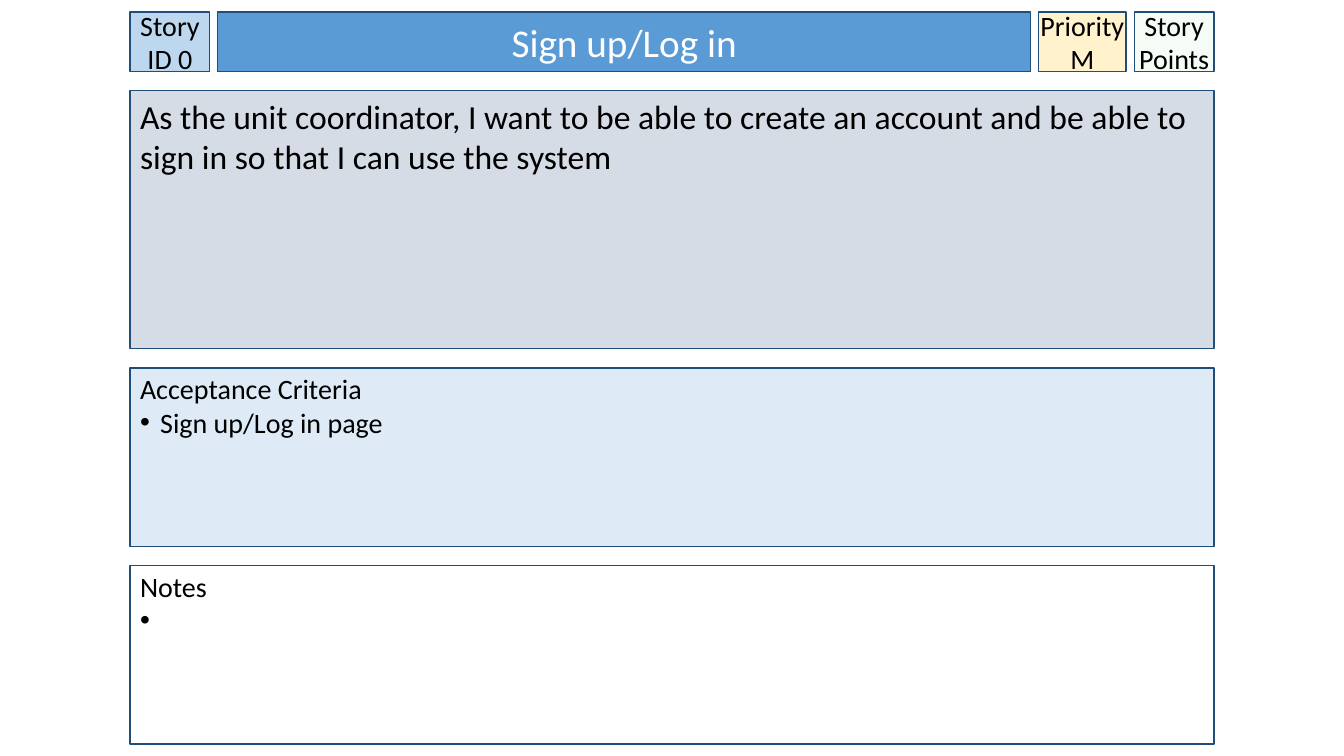
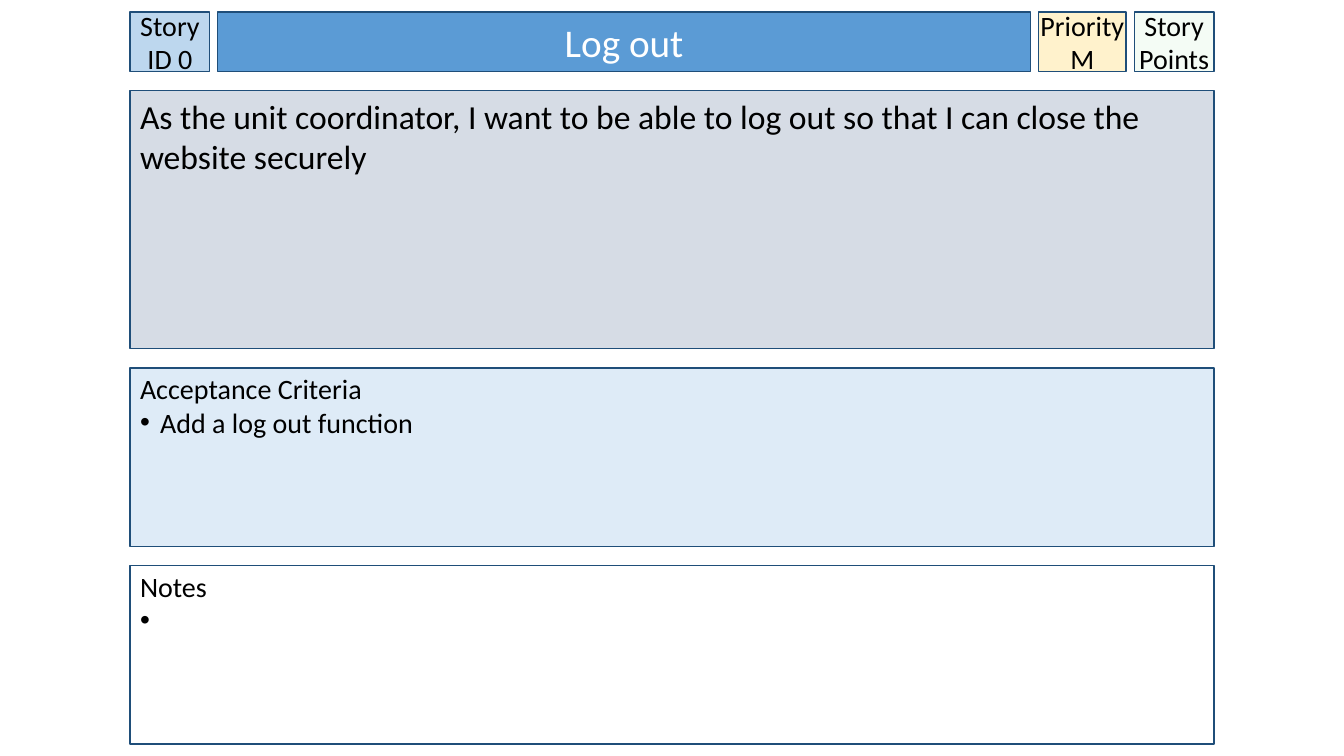
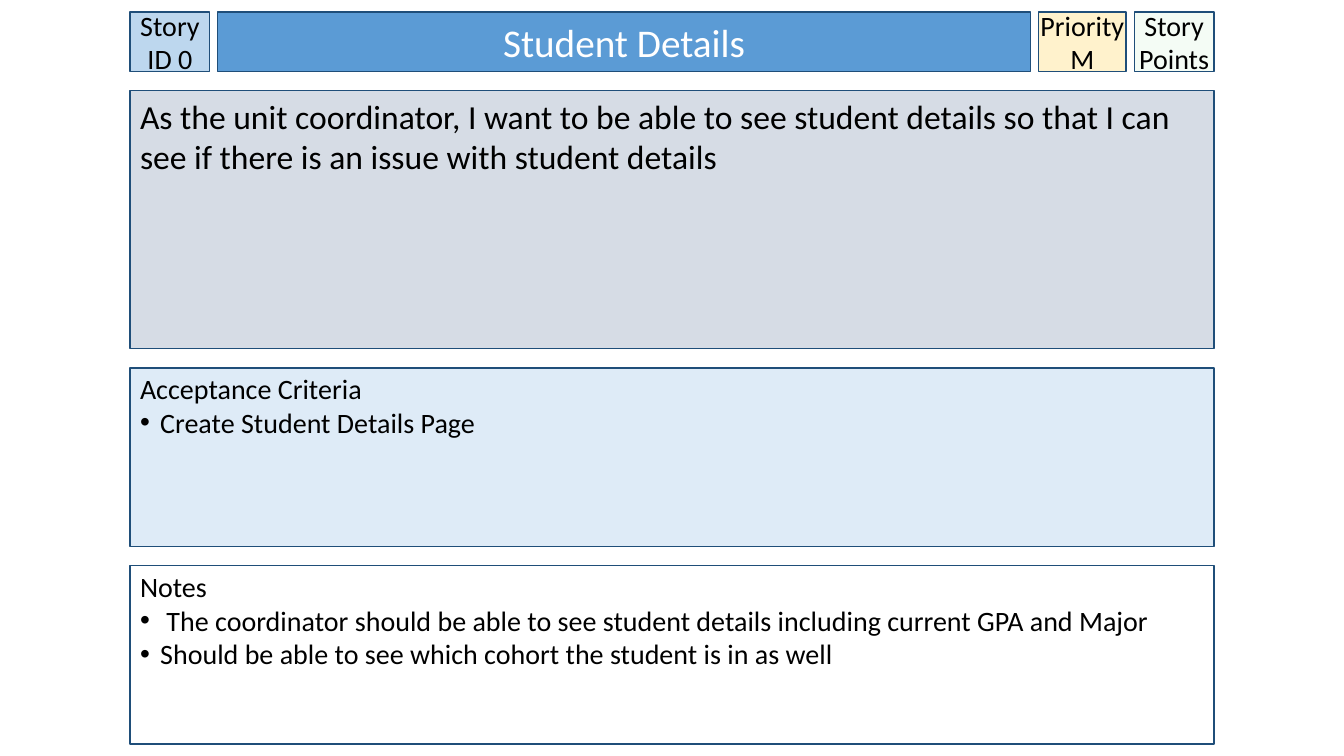
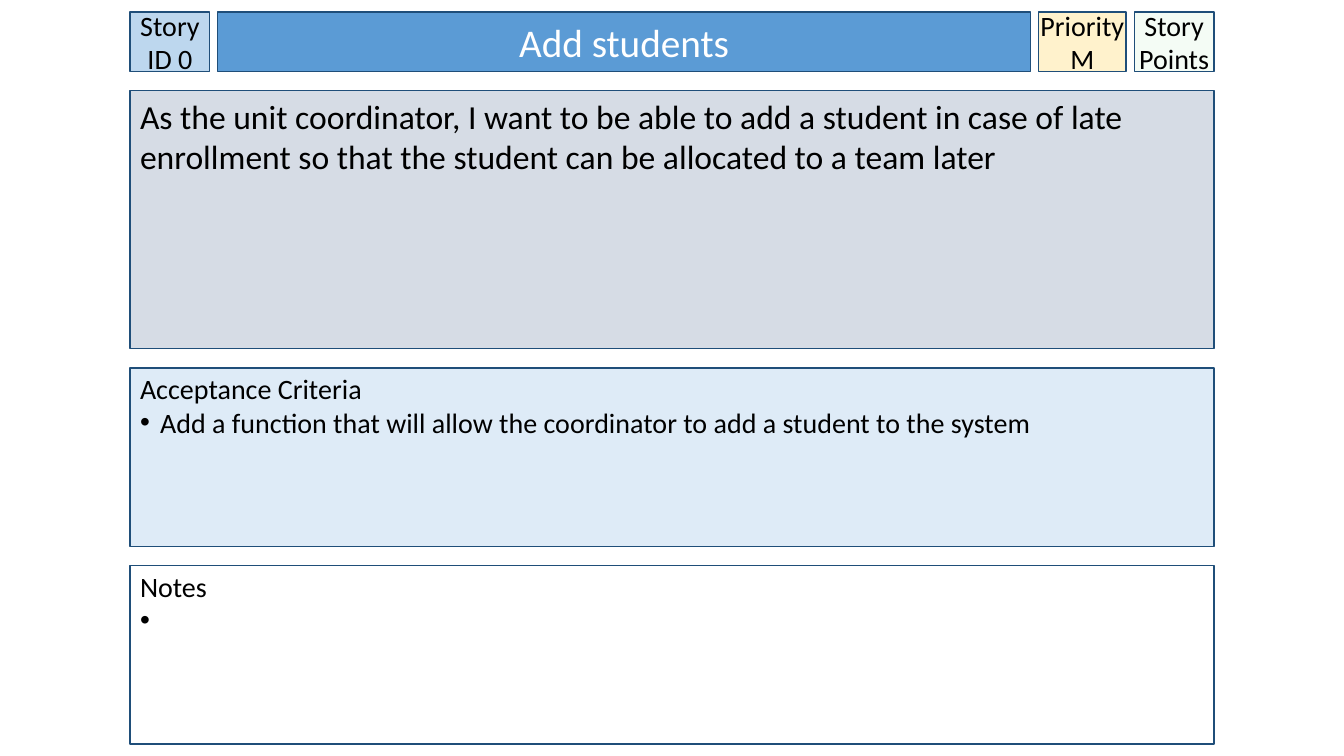
from lxml.etree import SubElement
from pptx import Presentation
from pptx.dml.color import RGBColor
from pptx.enum.shapes import MSO_SHAPE
from pptx.enum.text import MSO_ANCHOR, MSO_AUTO_SIZE, PP_ALIGN
from pptx.oxml.ns import qn
from pptx.util import Inches, Pt

# Shared look
FONT = "Calibri"
BLACK, WHITE, BORDER = "000000", "FFFFFF", "1F4E79"
ID_FILL, TITLE_FILL, PRIORITY_FILL, POINTS_FILL = "BDD7EE", "5B9BD5", "FFF2CC", "CCF0CD"
STORY_FILL, CRITERIA_FILL = "D6DCE5", "DEEBF7"

# Card geometry in inches
CARD_LEFT, CARD_TOP, CARD_WIDTH = 1.29, 0.12, 10.75
HEADER_HEIGHT, STORY_HEIGHT, LIST_HEIGHT = 0.59, 2.56, 1.77
TAG_WIDTH, PRIORITY_WIDTH = 0.79, 0.87
COLUMN_GAP, ROW_GAP = 0.08, 0.19
BULLET_INDENT = 0.2

# Text frame formats; margins are left, top, right, bottom
TITLE_TEXT = {"size": 28, "color": WHITE, "align": PP_ALIGN.CENTER,
              "anchor": MSO_ANCHOR.MIDDLE, "margins": (0.1, 0.05, 0.1, 0.05)}
TAG_TEXT = {"size": 20, "color": BLACK, "align": PP_ALIGN.CENTER,
            "anchor": MSO_ANCHOR.MIDDLE, "margins": (0, 0.05, 0, 0.05)}
STORY_TEXT = {"size": 24, "color": BLACK, "align": PP_ALIGN.LEFT,
              "anchor": MSO_ANCHOR.TOP, "margins": (0.1, 0.05, 0.1, 0.05)}
LIST_TEXT = {"size": 20, "color": BLACK, "align": PP_ALIGN.LEFT,
             "anchor": MSO_ANCHOR.TOP, "margins": (0.1, 0.04, 0.1, 0.05)}

STORIES = [
    {"title": "Sign up/Log in",
     "story": "As the unit coordinator, I want to be able to create an account "
              "and be able to sign in so that I can use the system",
     "criteria": ["Sign up/Log in page"],
     "notes": [" "]},
    {"title": "Log out",
     "story": "As the unit coordinator, I want to be able to log out so that "
              "I can close the website securely",
     "criteria": ["Add a log out function"],
     "notes": [" "]},
    {"title": "Student Details",
     "story": "As the unit coordinator, I want to be able to see student details "
              "so that I can see if there is an issue with student details",
     "criteria": ["Create Student Details Page"],
     "notes": [" The coordinator should be able to see student details "
               "including current GPA and Major",
               "Should be able to see which cohort the student is in as well"]},
    {"title": "Add students",
     "story": "As the unit coordinator, I want to be able to add a student in case "
              "of late enrollment so that the student can be allocated to a team later",
     "criteria": ["Add a function that will allow the coordinator to add a student "
                  "to the system"],
     "notes": [" "]},
]


def rgb(color):
    return RGBColor.from_string(color)


def place(shape, box):
    for name, value in zip(("left", "top", "width", "height"), box):
        setattr(shape, name, Inches(value))


def paint(shape, fill):
    shape.fill.solid()
    shape.fill.fore_color.rgb = rgb(fill)
    shape.line.color.rgb = rgb(BORDER)
    shape.line.width = Pt(1)


def set_opacity(shape, percent):
    color = shape.fill._xPr.find(qn("a:solidFill"))[0]
    SubElement(color, qn("a:alpha"), val=str(percent * 1000))


def add_bullet(paragraph):
    properties = paragraph._p.get_or_add_pPr()
    properties.set("marL", str(Inches(BULLET_INDENT)))
    properties.set("indent", str(-Inches(BULLET_INDENT)))
    SubElement(properties, qn("a:buFont"), typeface="Arial")
    SubElement(properties, qn("a:buChar"), char="•")


def write(shape, lines, style, wrap=True):
    frame = shape.text_frame
    settings = {"word_wrap": wrap, "auto_size": MSO_AUTO_SIZE.NONE,
                "vertical_anchor": style["anchor"]}
    sides = ("margin_left", "margin_top", "margin_right", "margin_bottom")
    settings.update(zip(sides, map(Inches, style["margins"])))
    for name, value in settings.items():
        setattr(frame, name, value)
    frame.text = "\n".join(lines)
    for paragraph in frame.paragraphs:
        paragraph.alignment = style["align"]
        for run in paragraph.runs:
            for name, value in {"name": FONT, "size": Pt(style["size"])}.items():
                setattr(run.font, name, value)
            run.font.color.rgb = rgb(style["color"])


def add_panel(slide, box, fill, lines, style, wrap=True):
    shape = slide.shapes.add_shape(MSO_SHAPE.RECTANGLE, *map(Inches, box))
    shape.shadow.inherit = False
    paint(shape, fill)
    write(shape, lines, style, wrap)
    return shape


def add_list_panel(slide, box, fill, heading, items):
    panel = add_panel(slide, box, fill, [heading, *items], LIST_TEXT)
    for paragraph in panel.text_frame.paragraphs[1:]:
        add_bullet(paragraph)


def add_header(slide, box, title):
    left, top, width, height = box
    title_width = width - 2 * TAG_WIDTH - PRIORITY_WIDTH - 3 * COLUMN_GAP
    cells = []
    for cell_width in (TAG_WIDTH, title_width, PRIORITY_WIDTH, TAG_WIDTH):
        cells.append((left, top, cell_width, height))
        left += cell_width + COLUMN_GAP
    id_box, title_box, priority_box, points_box = cells

    # Title band
    band = slide.shapes.title
    place(band, title_box)
    paint(band, TITLE_FILL)
    write(band, [title], TITLE_TEXT)

    # Tags on either side
    add_panel(slide, id_box, ID_FILL, ["Story ID 0"], TAG_TEXT)
    add_panel(slide, priority_box, PRIORITY_FILL, ["Priority", "M"], TAG_TEXT, wrap=False)
    points = add_panel(slide, points_box, POINTS_FILL, ["Story Points"], TAG_TEXT)
    set_opacity(points, 20)


def add_story_card(presentation, content):
    slide = presentation.slides.add_slide(presentation.slide_layouts[5])
    rows, top = [], CARD_TOP
    for height in (HEADER_HEIGHT, STORY_HEIGHT, LIST_HEIGHT, LIST_HEIGHT):
        rows.append((CARD_LEFT, top, CARD_WIDTH, height))
        top += height + ROW_GAP
    header_box, story_box, criteria_box, notes_box = rows

    add_header(slide, header_box, content["title"])
    add_panel(slide, story_box, STORY_FILL, [content["story"]], STORY_TEXT)
    add_list_panel(slide, criteria_box, CRITERIA_FILL, "Acceptance Criteria",
                   content["criteria"])
    add_list_panel(slide, notes_box, WHITE, "Notes", content["notes"])


presentation = Presentation()
presentation.slide_width = Inches(13.33)
presentation.slide_height = Inches(7.5)
for story in STORIES:
    add_story_card(presentation, story)
presentation.save("out.pptx")
